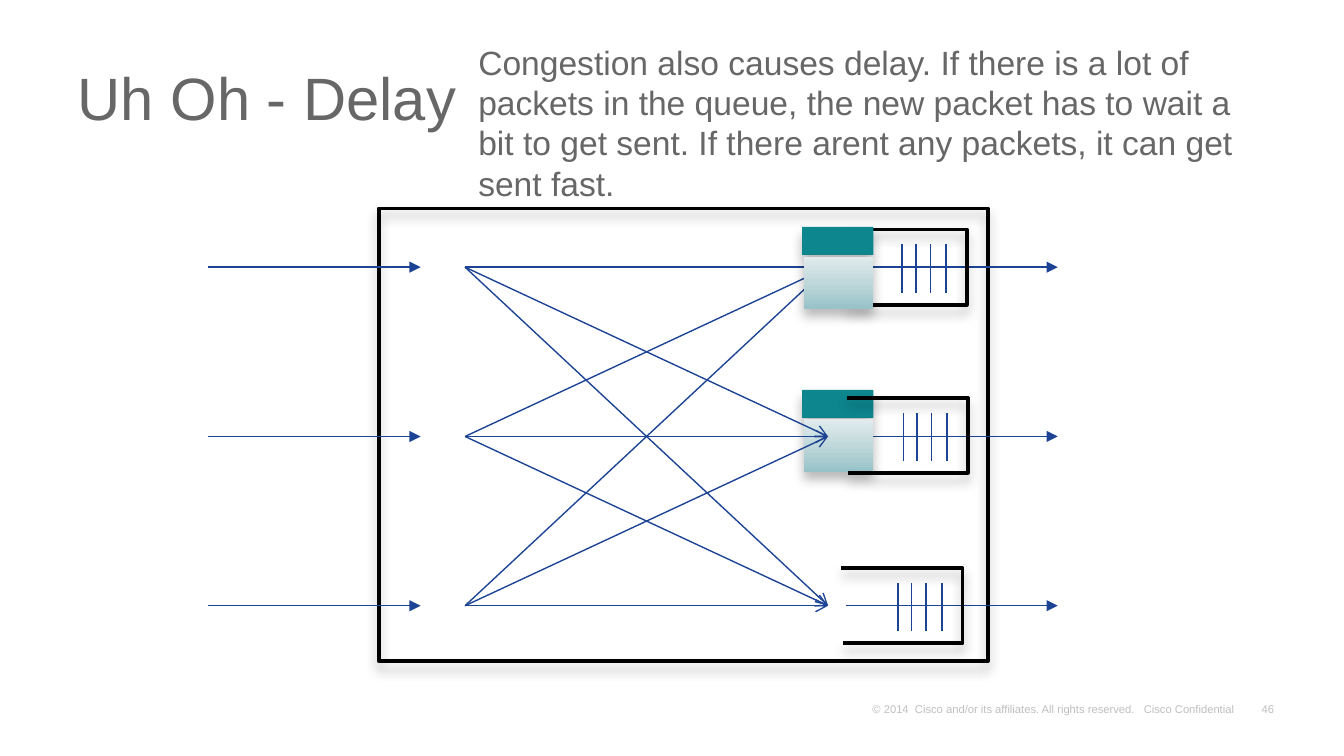
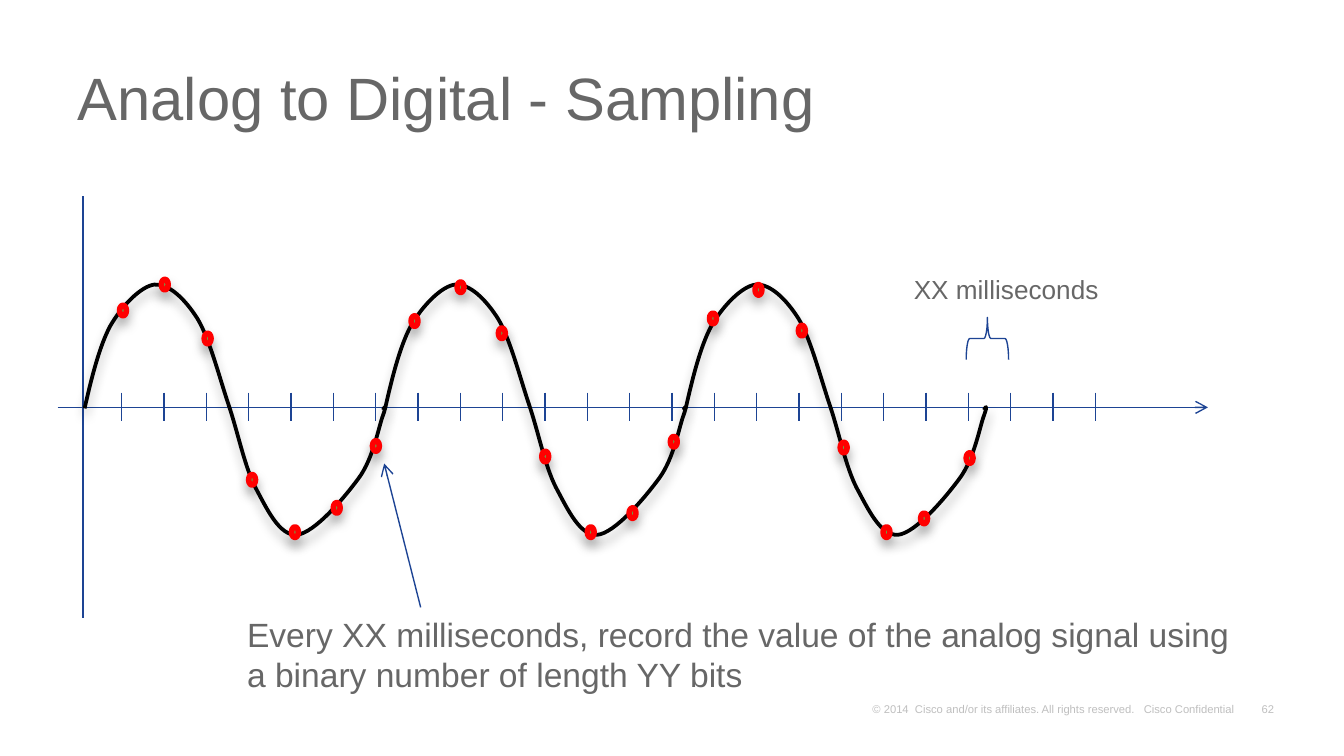
"""Build two lecture slides: queueing delay in a router and sampling of an analog signal."""
import copy

import lxml.etree
import pptx
import pptx.dml.color
import pptx.enum.shapes
import pptx.enum.text
import pptx.oxml.ns
import pptx.util

Cm = pptx.util.Cm
Pt = pptx.util.Pt
qn = pptx.oxml.ns.qn
rgb = pptx.dml.color.RGBColor.from_string
PRESET = pptx.enum.shapes.MSO_SHAPE

BLUE = "1D4494"
GREY = "676767"
PALE = "BFBFBF"
BLACK = "000000"
TEAL = "0D868E"
RED = "FF0000"
GREEN = "57B74E"
FADE = ["96C2C8", "C0D8DB", "E1EBED"]


def add_text(slide, text, left, top, width, height, size, color=GREY):
    """Add a wrapped text box and return its frame."""
    frame = slide.shapes.add_textbox(Cm(left), Cm(top), Cm(width), Cm(height)).text_frame
    frame.word_wrap = True
    frame.text = text
    font = frame.paragraphs[0].runs[0].font
    font.name, font.size = "Arial", Pt(size)
    font.color.rgb = rgb(color)
    return frame


def add_line(shapes, x1, y1, x2, y2, head=None):
    """Add a thin blue line, with an arrowhead at its end if one is named."""
    line = shapes.add_connector(
        pptx.enum.shapes.MSO_CONNECTOR.STRAIGHT, Cm(x1), Cm(y1), Cm(x2), Cm(y2))
    line.line.color.rgb = rgb(BLUE)
    line.line.width = Pt(0.75)
    properties = line._element.spPr
    if head:
        lxml.etree.SubElement(properties.find(qn("a:ln")), qn("a:tailEnd"), type=head)
    lxml.etree.SubElement(properties, qn("a:effectLst"))


deck = pptx.Presentation()
deck.slide_width, deck.slide_height = Cm(25.4), Cm(14.29)
raised = []
outlined = []

for title, number in [("Uh Oh - Delay", "46"), ("Analog to Digital - Sampling", "62")]:
    slide = deck.slides.add_slide(deck.slide_layouts[6])
    page = add_text(slide, number, 23.65, 13.18, 0.61, 0.43, 6, PALE)
    page.word_wrap = False
    page.paragraphs[0].alignment = pptx.enum.text.PP_ALIGN.RIGHT
    rights = add_text(
        slide, "© 2014  Cisco and/or its affiliates. All rights reserved.   Cisco Confidential",
        16.31, 13.18, 7.39, 0.43, 6, PALE)
    for footer in (page, rights):
        footer.vertical_anchor = pptx.enum.text.MSO_ANCHOR.BOTTOM
        footer.margin_left = footer.margin_right = Cm(0.18)
        footer.margin_top = footer.margin_bottom = Cm(0.08)
    heading = add_text(slide, title, 1.22, 0.94, 23.19, 2.03, 32)
    heading.vertical_anchor = pptx.enum.text.MSO_ANCHOR.MIDDLE
    heading.paragraphs[0].line_spacing = 0.8

delay, sampling = deck.slides

router = delay.shapes.add_shape(PRESET.RECTANGLE, Cm(7.16), Cm(3.94), Cm(11.51), Cm(8.56))
outlined.append(router)

rows = [5.05 + 3.2 * row for row in range(3)]
for y in rows:
    for x in (3.94, 15.98):
        add_line(delay.shapes, x, y, x + 4.01, y, "triangle")

packets = []
for top in (4.29, 7.37):
    packet = delay.shapes.add_group_shape()
    header = packet.shapes.add_shape(PRESET.RECTANGLE, Cm(15.16), Cm(top), Cm(1.35), Cm(0.53))
    header.fill.solid()
    header.fill.fore_color.rgb = rgb(TEAL)
    payload = packet.shapes.add_shape(
        PRESET.RECTANGLE, Cm(15.19), Cm(top + 0.56), Cm(1.32), Cm(0.99))
    payload.fill.gradient()
    payload.fill.gradient_angle = 90
    first_stop = payload._element.spPr.find(".//" + qn("a:gs"))
    first_stop.addnext(copy.deepcopy(first_stop))
    for index, stop in enumerate(payload.fill.gradient_stops):
        stop.color.rgb = rgb(FADE[index])
        stop.position = index / 2
    for part in (header, payload):
        part.line.fill.background()
        raised.append(part)
    packets.append(packet)

for start in rows:
    for end in rows:
        add_line(delay.shapes, 8.79, start, 15.65, end, "arrow")

add_text(delay, "Congestion also causes delay. If there is a lot of packets in the queue, "
         "the new packet has to wait a bit to get sent. If there arent any packets, "
         "it can get sent fast.", 8.79, 0.66, 15.42, 3.33, 18)

for left, top in [(15.98, 4.34), (16, 7.52), (15.9, 10.74)]:
    queue = delay.shapes.add_group_shape()
    right, bottom = left + 2.29, top + 1.42
    walls = queue.shapes.build_freeform(Cm(left), Cm(top))
    walls.add_line_segments(
        [(Cm(right), Cm(top)), (Cm(right), Cm(bottom)), (Cm(left + 0.03), Cm(bottom))],
        close=False)
    outlined.append(walls.convert_to_shape())
    for offset in (1.07, 1.33, 1.6, 1.9):
        add_line(queue.shapes, left + offset, top + 0.28, left + offset, top + 1.19)

front_packet = packets[0]._element
front_packet.getparent().append(front_packet)

add_line(sampling.shapes, 1.57, 3.71, 1.57, 11.68)
add_line(sampling.shapes, 1.09, 7.7, 22.83, 7.7, "arrow")

WAVE = [
    (0.13, 7.14), (0.28, 6.55), (0.48, 6.17),
    (0.71, 5.77), (1.07, 5.41), (1.32, 5.38),
    (1.6, 5.36), (1.9, 5.66), (2.13, 6.02),
    (2.36, 6.4), (2.54, 7.11), (2.72, 7.65),
    (2.9, 8.18), (3.02, 8.81), (3.23, 9.22),
    (3.45, 9.63), (3.68, 10.13), (4.01, 10.11),
    (4.34, 10.08), (4.9, 9.42), (5.18, 9.04),
    (5.46, 8.66), (5.56, 8.05), (5.64, 7.85),
    (5.72, 7.62), (5.66, 7.7), (5.64, 7.75),
]
for cycle in range(3):
    origin = 1.6 + 5.68 * cycle
    builder = sampling.shapes.build_freeform(Cm(origin), Cm(7.72))
    builder.add_line_segments([(Cm(origin + x), Cm(y)) for x, y in WAVE], close=False)
    wave = builder.convert_to_shape()
    outline = wave._element.spPr.find(".//" + qn("a:path"))
    for index, segment in enumerate(outline.findall(qn("a:lnTo"))):
        if index % 3 == 0:
            curve = lxml.etree.SubElement(outline, qn("a:cubicBezTo"))
        curve.append(segment[0])
        outline.remove(segment)
    outlined.append(wave)

for tick in range(24):
    x = 2.3 + 0.8 * tick
    add_line(sampling.shapes, x, 7.42, x, 7.95)

add_line(sampling.shapes, 7.95, 11.48, 7.26, 8.76, "arrow")
add_text(sampling, "Every XX milliseconds, record the value of the analog signal using "
         "a binary number of length YY bits", 4.42, 11.48, 19.43, 1.8, 18)

SAMPLES = [
    (2.26, 5.77), (3.05, 5.28), (3.86, 6.3), (4.7, 8.97), (5.51, 9.96), (6.3, 9.5),
    (7.04, 8.33), (7.77, 5.97), (8.64, 5.33), (9.42, 6.2), (10.24, 8.53), (11.1, 9.96),
    (11.89, 9.6), (12.67, 8.25), (13.41, 5.92), (14.27, 5.38), (15.09, 6.15),
    (15.88, 8.36), (16.69, 9.96), (17.4, 9.7), (18.26, 8.56),
]
for left, top in SAMPLES:
    sample = sampling.shapes.add_shape(PRESET.OVAL, Cm(left), Cm(top), Cm(0.13), Cm(0.2))
    sample.fill.solid()
    sample.fill.fore_color.rgb = rgb(GREEN)
    sample.line.color.rgb = rgb(RED)
    sample.line.width = Pt(3)
    raised.append(sample)

interval = sampling.shapes.add_shape(PRESET.LEFT_BRACE, Cm(18.26), Cm(6), Cm(0.8), Cm(0.8))
interval.rotation = 90
interval.fill.background()
interval.line.color.rgb = rgb(BLUE)
interval.line.width = Pt(0.75)
interval.shadow.inherit = False
add_text(sampling, "XX milliseconds", 17.02, 5.05, 4.09, 0.86, 14)

for shape in outlined:
    shape.fill.background()
    shape.line.color.rgb = rgb(BLACK)
    shape.line.width = Pt(2)

for shape in raised + outlined:
    shape.shadow.inherit = False
    effects = shape._element.spPr.find(qn("a:effectLst"))
    shadow = lxml.etree.SubElement(
        effects, qn("a:outerShdw"), blurRad=str(Pt(6)), dist=str(Pt(4)), dir="5400000",
        rotWithShape="0")
    tint = lxml.etree.SubElement(shadow, qn("a:srgbClr"), val=BLACK)
    lxml.etree.SubElement(tint, qn("a:alpha"), val="27000")

deck.save("out.pptx")
